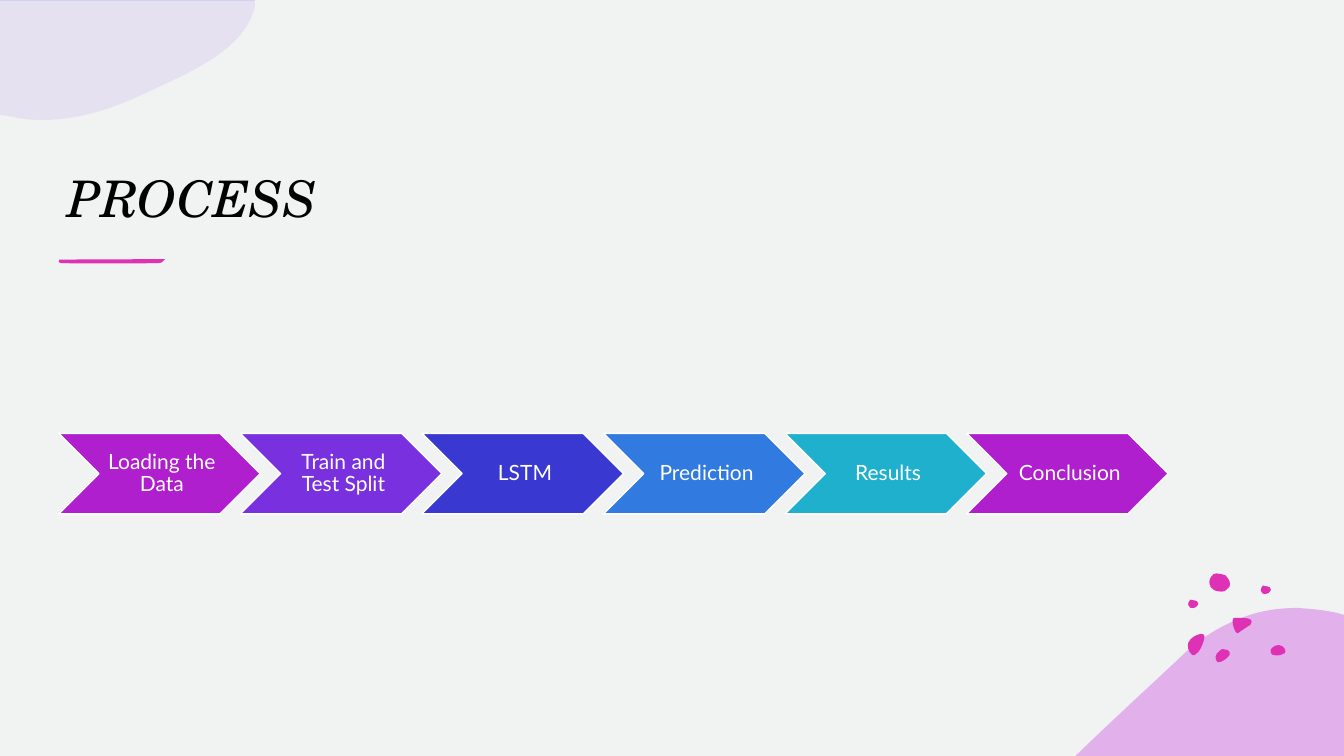
from pptx import Presentation
from pptx.dml.color import RGBColor
from pptx.enum.shapes import MSO_SHAPE
from pptx.enum.text import MSO_ANCHOR, PP_ALIGN
from pptx.oxml.ns import qn
from pptx.util import Cm, Pt
from lxml import etree

CHEVRON, RECTANGLE = MSO_SHAPE.CHEVRON, MSO_SHAPE.RECTANGLE
MIDDLE, BOTTOM = MSO_ANCHOR.MIDDLE, MSO_ANCHOR.BOTTOM
CENTER, LEFT = PP_ALIGN.CENTER, PP_ALIGN.LEFT

SLIDE_W, SLIDE_H = 33.87, 19.05
PAPER, PINK, ORCHID, LILAC, SKY = "F0F3F1", "DF31B4", "D570E9", "C9ADF2", "ADCAF2"
WHITE, BLACK = "FFFFFF", "000000"
UNIT = Cm(0.0254)  # one outline unit

STEPS = [
    ("Loading the Data", "AF1FCD"),
    ("Train and Test Split", "7931DF"),
    ("LSTM", "3939D2"),
    ("Prediction", "317ADF"),
    ("Results", "1FB0CD"),
    ("Conclusion", "AF1FCD"),
]

# Outlines: a pair is a point, six numbers are a Bézier curve from the last point
TOP_BLOB = [(0, 0), (253, 0), (253, 6), (245, 44, 200, 67, 158, 86),
            (123, 103, 86, 119, 41, 119), (31, 119, 22, 118, 13, 116), (0, 114)]
BOTTOM_BLOB = [(221, 0), (234, 1, 247, 2, 260, 5), (266.5, 7), (266.5, 147), (0, 147),
               (1, 146), (35, 113, 70, 81, 102, 51), (124, 29, 147, 16, 170, 8),
               (187, 2, 204, 0, 221, 0)]
UNDERLINE = [(1, 0.5), (106, 0), (103, 1, 105, 4, 99, 4), (60, 4.5, 28, 4.5, 3, 4),
             (0, 4, 0, 1, 1, 0.5)]
PEBBLE = [(0, 5), (0, 5, 0, 1, 2, 0), (4, 0, 5, 0, 7, 1), (8, 1, 10, 2, 10, 4),
          (10, 5, 9, 6, 8, 7), (8, 7, 8, 8, 6, 8), (5, 8, 3, 9, 2, 8), (1, 6, 0, 6, 0, 5)]
DOTS = [
    [(35, 75), (37, 75, 38, 75, 40, 76), (42, 77, 43, 79, 42, 81), (40, 84, 34, 89, 30, 88),
     (29, 87, 28, 85, 28, 83), (28, 81, 30, 78, 32, 77), (33, 76, 34, 75, 35, 75)],
    [(13, 60), (15, 60, 17, 60, 17, 62), (17, 64), (16, 69, 14, 74, 11, 78),
     (9, 80, 6, 83, 4, 80), (1, 77, 0, 72, 1, 69), (2, 66, 4, 65, 6, 63),
     (7, 63, 10, 60, 13, 60)],
    [(91, 71), (93, 71, 96, 73, 97, 75), (98, 77, 98, 79, 95, 80), (92, 82, 84, 82, 83, 79),
     (82, 77, 83, 75, 84, 74), (86, 72, 88, 71, 91, 71)],
    [(23, 12), (22, 12, 21, 6, 24, 3), (26, 1, 26, 0, 29, 0), (32, 0, 36, 1, 38, 2),
     (40, 4, 44, 9, 42, 13), (39, 16, 38, 18, 34, 18), (31, 18, 26, 17, 25, 15),
     (23, 14, 23, 13, 23, 12)],
    [(50, 44), (56, 44, 67, 44, 63, 50), (63, 51, 62, 52, 61, 52), (52, 58),
     (51, 59, 50, 60, 49, 59), (48, 58), (46, 54, 45, 51, 45, 47), (45, 46, 45, 45, 46, 44)],
]
PEBBLE_SPOTS = [(73, 12), (1, 26)]


def color(hex_string):
    return RGBColor.from_string(hex_string)


def apply(target, values):
    for name, value in values.items():
        setattr(target, name, value)


def format_font(font, hex_string, **values):
    apply(font, values)
    font.color.rgb = color(hex_string)


def fill_plain(sp, hex_string):
    sp.shadow.inherit = False
    sp.fill.solid()
    sp.fill.fore_color.rgb = color(hex_string)
    sp.line.fill.background()


def bend(sp, outline):
    """Join the three points of each curve into one Bézier segment."""
    segments = iter(list(sp.element.iter(qn("a:lnTo"))))
    for part in outline[1:]:
        segment = next(segments)
        if len(part) == 6:
            segment.tag = qn("a:cubicBezTo")
            for extra in (next(segments), next(segments)):
                segment.append(extra[0])
                extra.getparent().remove(extra)


def add_outline(shapes, outline, left, top, hex_string, opacity=100):
    points = [(Cm(left) + part[i] * UNIT, Cm(top) + part[i + 1] * UNIT)
              for part in outline for i in range(0, len(part), 2)]
    builder = shapes.build_freeform(*points[0])
    builder.add_line_segments(points[1:], close=True)
    sp = builder.convert_to_shape()
    bend(sp, outline)
    fill_plain(sp, hex_string)
    if opacity < 100:
        clr = sp.element.spPr.find(f"{qn('a:solidFill')}/{qn('a:srgbClr')}")
        etree.SubElement(clr, qn("a:alpha")).set("val", str(opacity * 1000))


def add_panel(s, left, top, width, height):
    sp = s.shapes.add_shape(RECTANGLE, Cm(left), Cm(top), Cm(width), Cm(height))
    fill_plain(sp, PAPER)


def add_title(s, left, top, width, height):
    title = s.shapes.title
    # Bring the title in front of the panel
    s.shapes.element.append(title.element)
    apply(title, {"left": Cm(left), "top": Cm(top), "width": Cm(width), "height": Cm(height)})
    tf = title.text_frame
    tf.text = "PROCESS"
    apply(tf, {"vertical_anchor": BOTTOM, "word_wrap": True})
    p = tf.paragraphs[0]
    p.alignment = LEFT
    format_font(p.runs[0].font, BLACK, name="TeX Gyre Schola", size=Pt(36), italic=True)


def add_dots(s, left, top):
    group = s.shapes.add_group_shape()
    for dot in DOTS:
        add_outline(group.shapes, dot, left, top, PINK)
    for x, y in PEBBLE_SPOTS:
        add_outline(group.shapes, PEBBLE, left + x * 0.0254, top + y * 0.0254, PINK)


def add_process(s, left, top, width, height):
    step_w = 5.08
    pitch = (width - step_w) / (len(STEPS) - 1)
    for i, (label, fill) in enumerate(STEPS):
        sp = s.shapes.add_shape(CHEVRON, Cm(left + i * pitch), Cm(top), Cm(step_w), Cm(height))
        fill_plain(sp, fill)
        sp.line.color.rgb = color(WHITE)
        sp.line.width = Pt(1)
        tf = sp.text_frame
        apply(tf, {"word_wrap": True, "vertical_anchor": MIDDLE, "margin_left": Cm(0.17),
                   "margin_right": Cm(0.05), "margin_top": Cm(0.05), "margin_bottom": Cm(0.05)})
        p = tf.paragraphs[0]
        apply(p, {"alignment": CENTER, "line_spacing": 0.9})
        r = p.add_run()
        r.text = label
        format_font(r.font, WHITE, name="Lato", size=Pt(15))


def main():
    prs = Presentation()
    apply(prs, {"slide_width": Cm(SLIDE_W), "slide_height": Cm(SLIDE_H)})
    s = prs.slides.add_slide(prs.slide_layouts[5])
    s.background.fill.solid()
    s.background.fill.fore_color.rgb = color(PAPER)

    # Panel that leaves a thin blue edge at the top
    add_outline(s.shapes, TOP_BLOB, 0, 0, SKY, 50)
    add_panel(s, 0, 0.02, SLIDE_W, SLIDE_H - 0.02)

    # Corner blob, title and its underline
    add_outline(s.shapes, TOP_BLOB, 0, 0, LILAC, 25)
    add_title(s, 1.45, 2.18, 28, 3.68)
    add_outline(s.shapes, UNDERLINE, 1.47, 6.53, PINK)

    # Bottom corner blob with dots
    add_outline(s.shapes, BOTTOM_BLOB, 27.1, 15.32, ORCHID, 50)
    add_dots(s, 29.92, 14.45)

    # Process steps
    add_process(s, 1.48, 10.92, 27.96, 2.03)
    prs.save("out.pptx")


if __name__ == "__main__":
    main()
